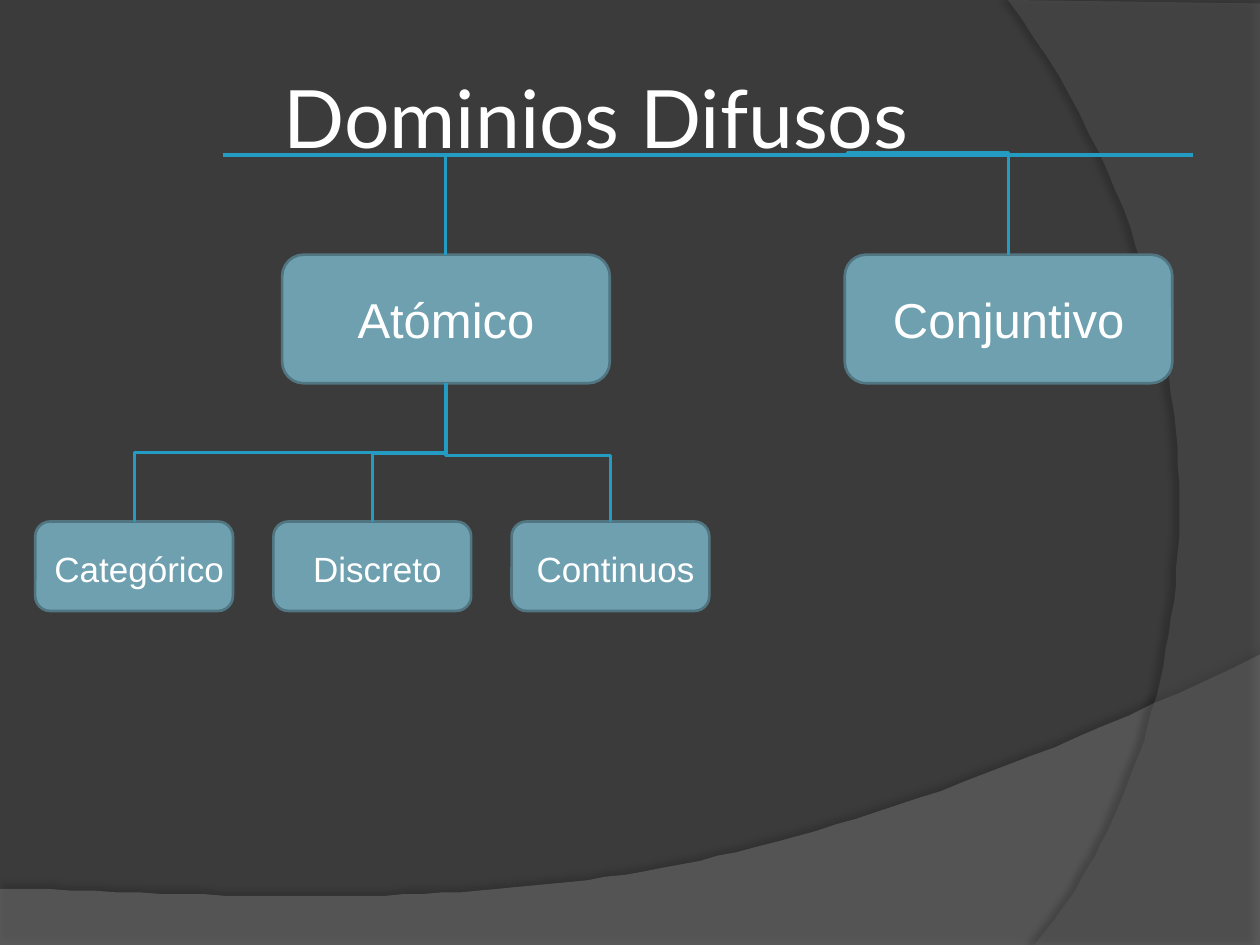
"""Build the "Dominios Difusos" hierarchy slide."""
from lxml import etree
from pptx import Presentation
from pptx.dml.color import RGBColor
from pptx.enum import shapes, text
from pptx.oxml import ns
from pptx.util import Pt

THEME = {
    "background": "3B3B3B", "white": "FFFFFF", "box": "6EA0B0",
    "border": "517682", "line": "239BC2", "shadow": "000000",
    "title_font": "Lato", "label_font": "Arial", "title_size": 46,
}
TITLE = "Dominios Difusos"
TITLE_FRAME = (20.16, 21.6, 640.8, 90)
RULE_Y, RULE_LEFT, RULE_RIGHT = 88.5, 127.5, 681.5
ATOMIC_JOIN, SET_JOIN = 337.5, 484.5

LEVELS = [
    {"names": ["Atómico", "Conjuntivo"], "left": 161.25, "top": 145.5, "step": 321.5,
     "box": (187.2, 73.5), "label": (5.75, 16.5, 175.7, 41), "size": 28},
    {"names": ["Categórico", "Discreto", "Continuos"], "left": 20.16, "top": 298, "step": 136.1,
     "box": (113, 51.1), "label": (0, 11.5, 118.8, 31.7), "size": 20},
]
CHILD_BENDS = {"Categórico": 0.5, "Discreto": 0.51, "Continuos": 0.52}

WAVES = [
    {"before": [(0, 540), (720, 540)],
     "curve": [(720, 374.4), (402.5, 525), (281.5, 517.5), (0, 507.5)],
     "fill": "7F7F7F", "alpha": 45, "shadow": (35, 4, 3.5, 270)},
    {"before": [(720, 1.5), (720, 540)],
     "curve": [(591, 540), (673, 445.5), (733, 216), (576, 0)],
     "fill": "5E5E5E", "alpha": 40, "shadow": (45, 4, 4, 180)},
]


def color(name):
    return RGBColor.from_string(THEME.get(name, name))


def child(parent, tag, **attributes):
    element = etree.SubElement(parent, ns.qn(tag))
    for key, value in attributes.items():
        element.set(key, str(value))
    return element


def bezier(points, steps=60):
    weights = (1, 3, 3, 1)
    for step in range(steps + 1):
        t = step / steps
        yield tuple(
            sum(weights[i] * (1 - t) ** (3 - i) * t ** i * points[i][axis] for i in range(4))
            for axis in (0, 1))


def add_wave(slide, wave):
    points = wave["before"] + list(bezier(wave["curve"]))
    builder = slide.shapes.build_freeform(*points[0], scale=Pt(1))
    builder.add_line_segments(points[1:], close=True)
    shape = builder.convert_to_shape()
    shape.fill.solid()
    shape.fill.fore_color.rgb = color(wave["fill"])
    shape.line.fill.background()
    properties = shape.element.spPr
    fill_color = properties.find(".//" + ns.qn("a:srgbClr"))
    child(fill_color, "a:alpha", val=wave["alpha"] * 1000)
    alpha, blur, distance, angle = wave["shadow"]
    shadow = child(child(properties, "a:effectLst"), "a:outerShdw", blurRad=Pt(blur),
                   dist=Pt(distance), dir=angle * 60000, algn="ctr", rotWithShape=0)
    child(child(shadow, "a:srgbClr", val=THEME["shadow"]), "a:alpha", val=alpha * 1000)


def add_text(slide, frame, words, font, size, inset=None):
    shape = slide.shapes.add_textbox(*map(Pt, frame))
    text_frame = shape.text_frame
    text_frame.word_wrap = True
    if inset is not None:
        text_frame.vertical_anchor = text.MSO_ANCHOR.MIDDLE
        text_frame.margin_left = text_frame.margin_right = Pt(inset)
        text_frame.margin_top = text_frame.margin_bottom = Pt(inset)
    paragraph = text_frame.paragraphs[0]
    paragraph.alignment = text.PP_ALIGN.CENTER
    run = paragraph.add_run()
    run.text = words
    run.font.name = font
    run.font.size = Pt(size)
    run.font.color.rgb = color("white")


def add_box(slide, left, top, size):
    shape = slide.shapes.add_shape(
        shapes.MSO_SHAPE.ROUNDED_RECTANGLE, *map(Pt, (left, top, *size)))
    shape.shadow.inherit = False
    shape.fill.solid()
    shape.fill.fore_color.rgb = color("box")
    shape.line.color.rgb = color("border")
    shape.line.width = Pt(1.5)
    return shape


def add_line(slide, kind, start, end, width):
    connector = slide.shapes.add_connector(kind, *map(Pt, start + end))
    connector.line.color.rgb = color("line")
    connector.line.width = Pt(width)
    child(connector.element.spPr, "a:effectLst")
    return connector


def add_elbow(slide, start=(0, 0), end=(0, 0), begin_box=None, end_box=None, bend=None):
    """Join two places with an elbow that leaves vertically."""
    connector = add_line(slide, shapes.MSO_CONNECTOR.ELBOW, start, end, 1.75)
    if begin_box:
        connector.begin_connect(begin_box, 2 if end_box else 0)
    if end_box:
        connector.end_connect(end_box, 0)
    across = connector.end_x - connector.begin_x
    down = connector.end_y - connector.begin_y
    middle_x = connector.begin_x + across // 2
    middle_y = connector.begin_y + down // 2
    connector.width, connector.height = abs(down), abs(across)
    connector.left = middle_x - connector.width // 2
    connector.top = middle_y - connector.height // 2
    right, up = across > 0, down < 0
    properties = connector.element.spPr
    transform = properties.find(ns.qn("a:xfrm"))
    transform.set("rot", str((270 if right and not up else 90) * 60000))
    transform.set("flipH", str(int(right)))
    transform.set("flipV", str(int(up)))
    geometry = properties.find(ns.qn("a:prstGeom"))
    if bend is None:
        geometry.set("prst", "bentConnector2")
    else:
        adjustments = geometry.find(ns.qn("a:avLst"))
        child(adjustments, "a:gd", name="adj1", fmla=f"val {round(bend * 100000)}")


def main():
    presentation = Presentation()
    presentation.slide_width, presentation.slide_height = Pt(720), Pt(540)
    slide = presentation.slides.add_slide(presentation.slide_layouts[6])
    slide.background.fill.solid()
    slide.background.fill.fore_color.rgb = color("background")

    for wave in WAVES:
        add_wave(slide, wave)
    add_text(slide, TITLE_FRAME, TITLE, THEME["title_font"], THEME["title_size"], inset=3.6)

    boxes = {}
    for level in LEVELS:
        for index, name in enumerate(level["names"]):
            left = level["left"] + index * level["step"]
            boxes[name] = add_box(slide, left, level["top"], level["box"])
            shift_x, shift_y, width, height = level["label"]
            frame = (left + shift_x, level["top"] + shift_y, width, height)
            add_text(slide, frame, name, THEME["label_font"], level["size"])

    for name, bend in CHILD_BENDS.items():
        add_elbow(slide, begin_box=boxes["Atómico"], end_box=boxes[name], bend=bend)
    add_line(slide, shapes.MSO_CONNECTOR.STRAIGHT,
             (RULE_LEFT, RULE_Y), (RULE_RIGHT, RULE_Y), 2.5)
    add_elbow(slide, end=(ATOMIC_JOIN, RULE_Y), begin_box=boxes["Atómico"])
    add_elbow(slide, start=(SET_JOIN, RULE_Y), end_box=boxes["Conjuntivo"], bend=-0.02)

    presentation.save("out.pptx")


if __name__ == "__main__":
    main()
